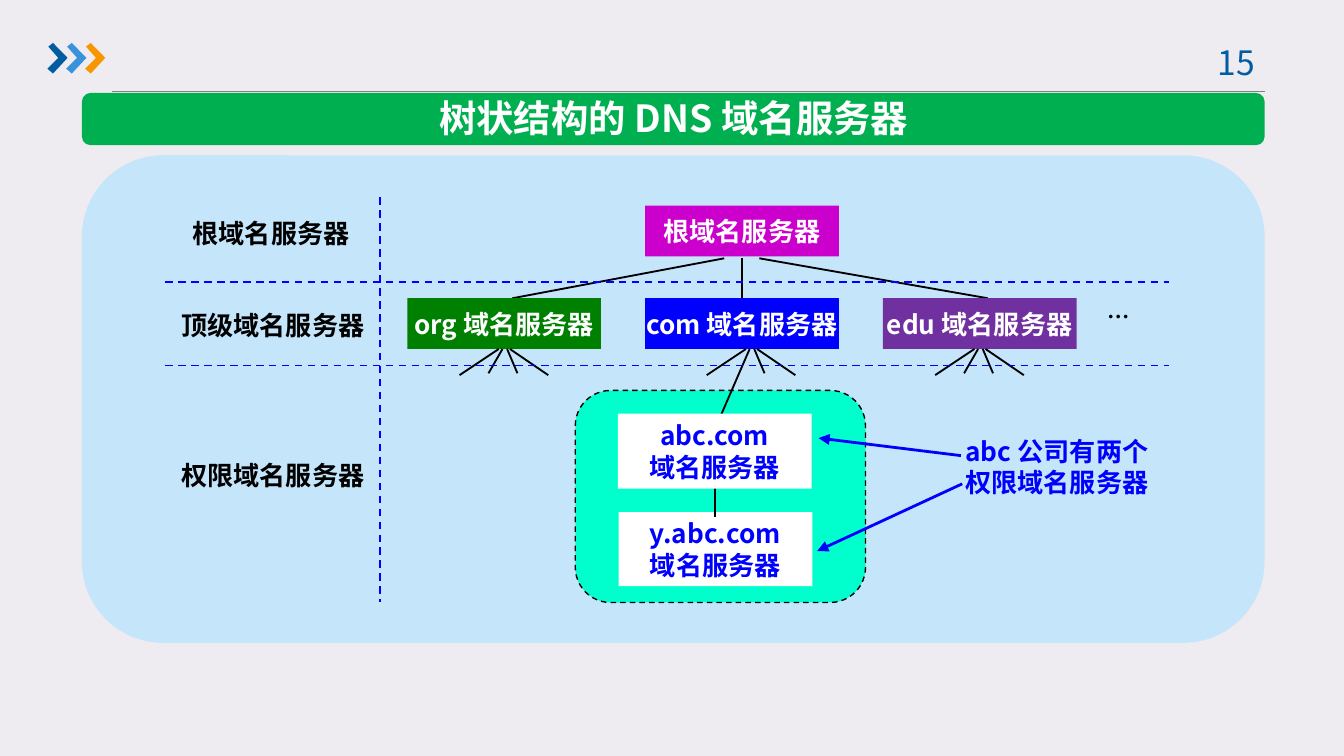
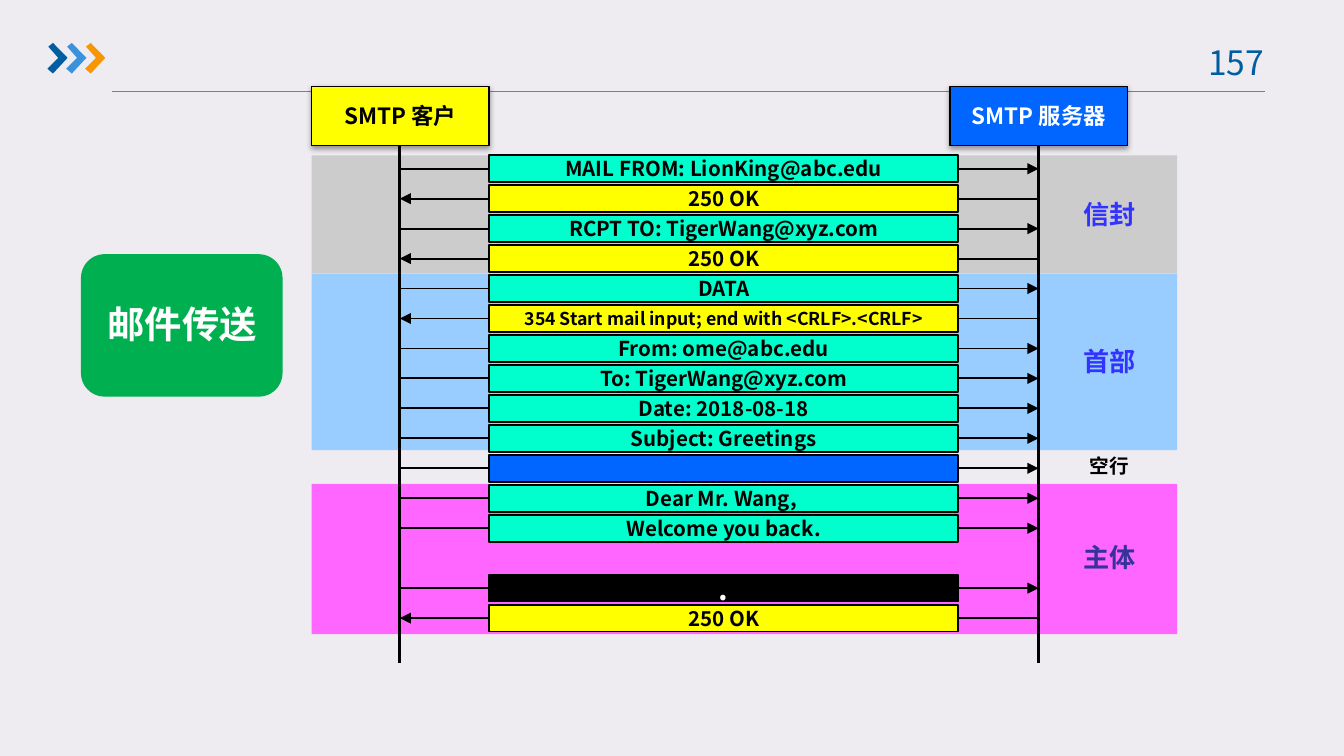
from lxml import etree
from pptx import Presentation
from pptx.dml.color import RGBColor
from pptx.enum import dml, shapes, text
from pptx.oxml import parse_xml
from pptx.oxml.ns import qn
from pptx.util import Pt

FONT = "Noto Sans CJK SC"
BACKGROUND = RGBColor(0xEE, 0xEC, 0xF1)
BLACK = RGBColor(0, 0, 0)
WHITE = RGBColor(0xFF, 0xFF, 0xFF)
GRAY = RGBColor(0x80, 0x80, 0x80)
NAVY = RGBColor(0x00, 0x5D, 0xA2)
SKY = RGBColor(0x39, 0x92, 0xDB)
ORANGE = RGBColor(0xF7, 0x96, 0x00)
TITLE_GREEN = RGBColor(0x00, 0xB0, 0x50)
PANEL_BLUE = RGBColor(0xC5, 0xE5, 0xFB)
MINT = RGBColor(0x00, 0xFF, 0xCC)
MAGENTA = RGBColor(0xCC, 0x00, 0xCC)
DARK_GREEN = RGBColor(0x00, 0x80, 0x00)
BLUE = RGBColor(0x00, 0x00, 0xFF)
PURPLE = RGBColor(0x70, 0x30, 0xA0)
YELLOW = RGBColor(0xFF, 0xFF, 0x00)
SERVER_BLUE = RGBColor(0x00, 0x66, 0xFF)
BAND_PINK = RGBColor(0xFF, 0x66, 0xFF)
BAND_BLUE = RGBColor(0x99, 0xCC, 0xFF)
BAND_GRAY = RGBColor(0xCC, 0xCC, 0xCC)
LABEL_BLUE = RGBColor(0x33, 0x33, 0xFF)
LABEL_INDIGO = RGBColor(0x33, 0x33, 0x99)

RECT = shapes.MSO_SHAPE.RECTANGLE
ROUND = shapes.MSO_SHAPE.ROUNDED_RECTANGLE
CENTER = text.PP_ALIGN.CENTER

CHEVRON = [(0.5, 2), (3, 0), (10.8, 8), (3, 16.4), (0, 13.8), (5.8, 8)]
CHEVRON_COLORS = [NAVY, SKY, ORANGE]

# Name server tree: level labels are (text, left, top, width)
LEVELS = [
    ("根域名服务器", 95.6, 113, 99.4),
    ("顶级域名服务器", 89.3, 162, 113.8),
    ("权限域名服务器", 89.3, 242.6, 113.8),
]
SERVER_W, SERVER_H = 103.8, 27.2
TOP_LEVEL_Y = 159.8
# (text, left, colour, shift of its branches)
TOP_SERVERS = [
    ("org 域名服务器", 218.2, DARK_GREEN, 0),
    ("com 域名服务器", 345.6, BLUE, 5),
    ("edu 域名服务器", 473, PURPLE, 0),
]
# (start x, end x, end y), x from the left of the server box
BRANCHES = [(49, 28, 201), (51, 43.5, 200), (53.5, 59, 200), (55, 75.5, 201)]
ROOT_LINKS = [(388, 274.5), (397.4, 397.4), (406.8, 529.2)]
COM_CHILD = (386, 223)
DIVIDERS = [
    (88.6, 151.2, 626.4, 151.2),
    (88.6, 195.8, 626.4, 195.8),
    (203.8, 105.8, 203.8, 322.6),
]
POINTERS = [(514.8, 244.1, 438.5, 234.7), (515.5, 259.2, 437.8, 295.2)]

# SMTP dialogue: (text, fill, True when the client sends); None is a skipped row
MESSAGES = [
    ("MAIL FROM: LionKing@abc.edu", MINT, True),
    ("250 OK", YELLOW, False),
    ("RCPT TO: TigerWang@xyz.com", MINT, True),
    ("250 OK", YELLOW, False),
    ("DATA", MINT, True),
    ("354 Start mail input; end with <CRLF>.<CRLF>", YELLOW, False),
    ("From: ome@abc.edu", MINT, True),
    ("To: TigerWang@xyz.com", MINT, True),
    ("Date: 2018-08-18", MINT, True),
    ("Subject: Greetings", MINT, True),
    ("", SERVER_BLUE, True),
    ("Dear Mr. Wang, ", MINT, True),
    ("Welcome you back.", MINT, True),
    None,
    (".", BLACK, True),
    ("250 OK", YELLOW, False),
]
MESSAGE_SIZES = {"354 Start mail input; end with <CRLF>.<CRLF>": 9.5, ".": 16}
ROW_TOP, ROW_STEP, ROW_H = 83.2, 16.05, 14.4
CLIENT_X, SERVER_X = 214.2, 556.4
# (top, height, colour)
BANDS = [(259.2, 80.6, BAND_PINK), (146.9, 94.3, BAND_BLUE), (83.2, 63.4, BAND_GRAY)]
# (text, top, height, size, colour)
PARTS = [
    ("信封", 103, 24.5, 14, LABEL_BLUE),
    ("首部", 181.4, 24.5, 14, LABEL_BLUE),
    ("主体", 286.6, 24.5, 14, LABEL_INDIGO),
    ("空行", 239.8, 20.9, 10.5, BLACK),
]
# (text, left, fill, font colour)
ENDPOINTS = [
    ("SMTP 服务器", 509, SERVER_BLUE, WHITE),
    ("SMTP 客户", 167, YELLOW, BLACK),
]
SOFT_SHADOW = (
    '<a:effectLst xmlns:a="http://schemas.openxmlformats.org/drawingml/2006/main">'
    '<a:outerShdw blurRad="39370" dist="20320" dir="5400000" rotWithShape="0">'
    '<a:srgbClr val="000000"><a:alpha val="38000"/></a:srgbClr>'
    '</a:outerShdw></a:effectLst>'
)


def write(sp, content, size, color, bold=True, align=CENTER, wrap=False):
    tf = sp.text_frame
    tf.word_wrap = wrap
    tf.text = content
    for p in tf.paragraphs:
        p.alignment = align
        for r in p.runs:
            r.font.size = Pt(size)
            r.font.bold = bold
            r.font.name = FONT
            r.font.color.rgb = color
            ea = etree.SubElement(r.font._element, qn("a:ea"))
            ea.set("typeface", FONT)


def add_label(slide, box, content, size, color, **style):
    sp = slide.shapes.add_textbox(*map(Pt, box))
    write(sp, content, size, color, **style)
    return sp


def add_box(slide, box, fill, content="", size=14, color=WHITE,
            kind=RECT, line=None, wrap=False):
    sp = slide.shapes.add_shape(kind, *map(Pt, box))
    sp.shadow.inherit = False
    sp.fill.solid()
    sp.fill.fore_color.rgb = fill
    if line:
        sp.line.color.rgb = BLACK
        sp.line.width = Pt(line)
    else:
        sp.line.fill.background()
    if content:
        tf = sp.text_frame
        tf.margin_left = tf.margin_right = tf.margin_top = tf.margin_bottom = 0
        tf.vertical_anchor = text.MSO_ANCHOR.MIDDLE
        write(sp, content, size, color, wrap=wrap)
    return sp


def add_line(slide, ends, color=BLACK, width=1, dash=False, arrow=False):
    sp = slide.shapes.add_connector(shapes.MSO_CONNECTOR.STRAIGHT, *map(Pt, ends))
    sp.line.color.rgb = color
    sp.line.width = Pt(width)
    if dash:
        sp.line.dash_style = dml.MSO_LINE.DASH
    if arrow:
        tail = etree.SubElement(sp.line._get_or_add_ln(), qn("a:tailEnd"))
        tail.set("type", "triangle")
    etree.SubElement(sp._element.spPr, qn("a:effectLst"))


def new_slide(prs, number):
    """Add a slide with the shared background, rule, chevrons and page number."""
    slide = prs.slides.add_slide(prs.slide_layouts[6])
    slide.background.fill.solid()
    slide.background.fill.fore_color.rgb = BACKGROUND
    add_line(slide, (59.8, 49.2, 677.5, 49.2), GRAY, 0.75)
    for i, color in enumerate(CHEVRON_COLORS):
        points = [(Pt(25.4 + 10.1 * i + x), Pt(23 + y)) for x, y in CHEVRON]
        builder = slide.shapes.build_freeform(*points[0])
        builder.add_line_segments(points[1:], close=True)
        sp = builder.convert_to_shape()
        sp.shadow.inherit = False
        sp.fill.solid()
        sp.fill.fore_color.rgb = color
        sp.line.fill.background()
    add_label(slide, (637.9, 18.7, 52.6, 28.8), f"{number} ", 18, NAVY,
              bold=False, wrap=True)
    return slide


def build_server_tree(prs):
    slide = new_slide(prs, 15)
    add_box(slide, (43.9, 83.2, 633.6, 261.2), PANEL_BLUE, kind=ROUND)
    add_box(slide, (43.9, 49.8, 633.6, 28), TITLE_GREEN, kind=ROUND)
    add_label(slide, (221, 47.5, 280, 31.7), "树状结构的 DNS 域名服务器", 20, WHITE)

    company = add_box(slide, (308.2, 209.2, 155.5, 113.6), MINT, kind=ROUND, line=0.75)
    company.line.dash_style = dml.MSO_LINE.DASH

    for start, end in ROOT_LINKS:
        add_line(slide, (start, 138.4, end, TOP_LEVEL_Y))
    add_box(slide, (345.6, 110.2, SERVER_W, SERVER_H), MAGENTA, "根域名服务器")
    for name, left, fill, shift in TOP_SERVERS:
        add_box(slide, (left, TOP_LEVEL_Y, SERVER_W, SERVER_H), fill, name)
        for i, (start, end, bottom) in enumerate(BRANCHES):
            x = left + shift
            tip = COM_CHILD if fill == BLUE and i == 1 else (x + end, bottom)
            add_line(slide, (x + start, TOP_LEVEL_Y + SERVER_H, *tip))
    add_label(slide, (586, 159, 26, 21.6), "…", 12, BLACK, align=text.PP_ALIGN.LEFT)

    add_box(slide, (331.4, 274.4, SERVER_W, 39.6), WHITE, "y.abc.com\n域名服务器", color=BLUE)
    add_line(slide, (383.2, 250.6, 383.2, 277.2))
    add_box(slide, (331, 221.6, SERVER_W, 40.2), WHITE, "abc.com\n域名服务器", color=BLUE)

    add_label(slide, (509, 229.7, 114.5, 41), "abc 公司有两个\n权限域名服务器", 14, BLUE,
              wrap=True)
    for ends in POINTERS:
        add_line(slide, ends, BLUE, 1.5, arrow=True)
    for ends in DIVIDERS:
        add_line(slide, ends, BLUE, dash=True)
    for name, left, top, width in LEVELS:
        add_label(slide, (left, top, width, 24.5), name, 14, BLACK)


def build_mail_transfer(prs):
    slide = new_slide(prs, 157)
    for top, height, color in BANDS:
        add_box(slide, (167, top, 463.7, height), color)
    add_box(slide, (43.4, 136.2, 108, 76.3), TITLE_GREEN, kind=ROUND)
    add_label(slide, (50.2, 157.7, 95, 31.7), "邮件传送", 20, WHITE)

    for name, left, fill, color in ENDPOINTS:
        sp = add_box(slide, (left, 46.2, 95, 31.8), fill, name, 12, color,
                     line=0.75, wrap=True)
        spPr = sp._element.spPr
        spPr.replace(spPr.find(qn("a:effectLst")), parse_xml(SOFT_SHADOW))
    for x in (CLIENT_X, SERVER_X):
        add_line(slide, (x, 78, x, 355), width=1.5)

    for i, message in enumerate(MESSAGES):
        if message is None:
            continue
        content, fill, from_client = message
        top = ROW_TOP + i * ROW_STEP
        y = top + ROW_H / 2
        xs = (CLIENT_X, SERVER_X) if from_client else (SERVER_X, CLIENT_X)
        add_line(slide, (xs[0], y, xs[1], y), arrow=True)
        add_box(slide, (262, top, 251.5, ROW_H), fill, content,
                MESSAGE_SIZES.get(content, 11),
                WHITE if fill == BLACK else BLACK, line=1, wrap=True)

    for name, top, height, size, color in PARTS:
        add_label(slide, (558, top, 72.7, height), name, size, color, wrap=True)


def main():
    prs = Presentation()
    prs.slide_width, prs.slide_height = Pt(720), Pt(405)
    build_server_tree(prs)
    build_mail_transfer(prs)
    prs.save("out.pptx")


if __name__ == "__main__":
    main()
